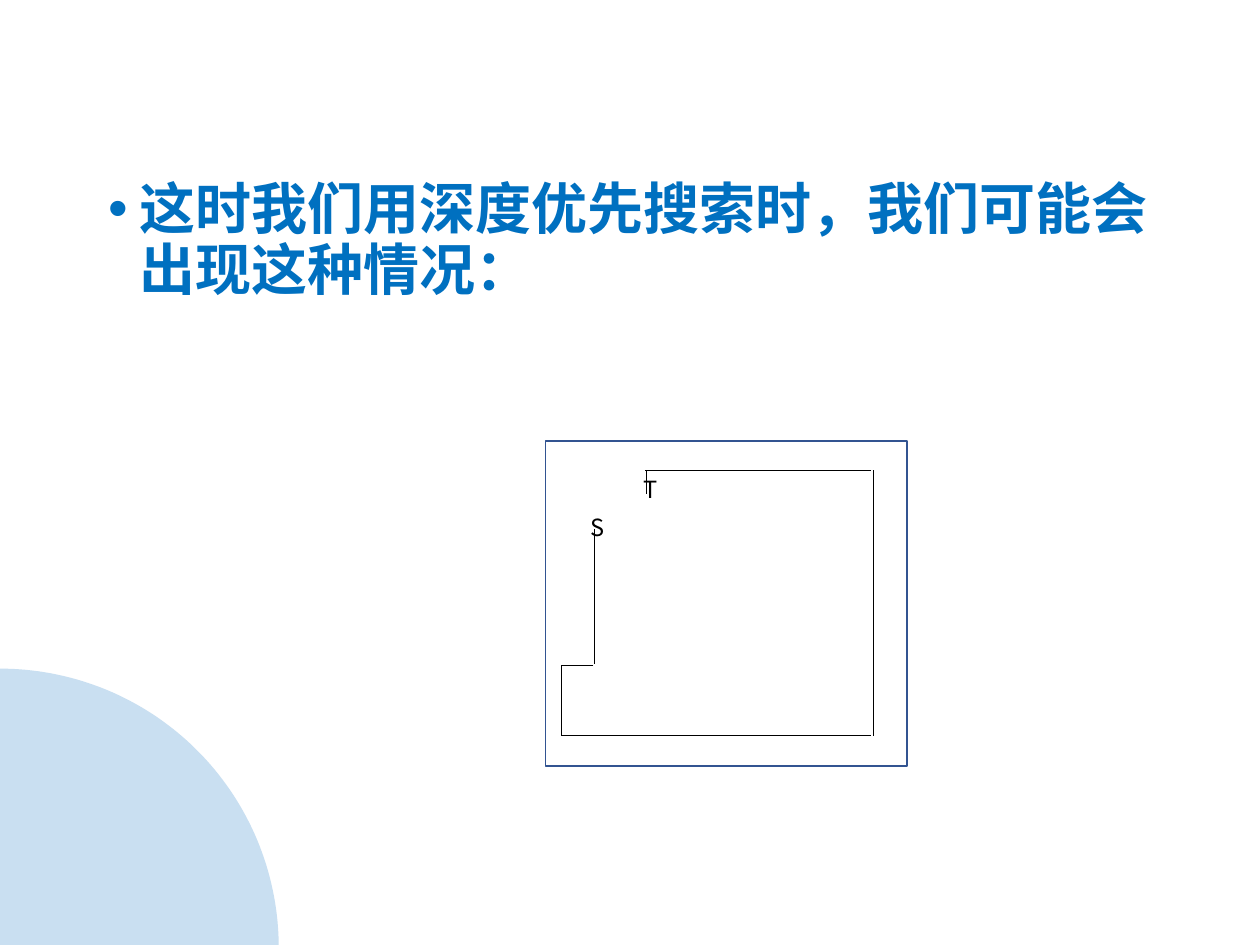
from math import cos, pi, sin

from lxml.etree import SubElement as Sub
from pptx import Presentation
from pptx.dml.color import RGBColor as Rgb
from pptx.enum.shapes import MSO_CONNECTOR as Conn, MSO_SHAPE as Kind
from pptx.enum.text import MSO_ANCHOR as Anchor, MSO_AUTO_SIZE as Auto
from pptx.oxml.ns import qn
from pptx.util import Pt

COLORS = {"text": "0070C0", "frame": "325491", "ink": "000000", "disc": "C9DFF1"}
FONT = "Noto Sans CJK SC"


def tint(name):
    return Rgb.from_string(COLORS[name])


def style(run, size, name, bold=False):
    font = run.font
    font.size = Pt(size)
    font.name = FONT
    font.bold = bold
    font.color.rgb = tint(name)
    Sub(font._element, qn("a:ea"), typeface=FONT)


deck = Presentation()
deck.slide_width, deck.slide_height = Pt(720), Pt(540)
slide = deck.slides.add_slide(deck.slide_layouts[6])
shapes = slide.shapes

body = shapes.add_textbox(Pt(54.7), Pt(100), Pt(612), Pt(45.4))
frame = body.text_frame
frame.word_wrap = True
para = frame.paragraphs[0]
para.text = "这时我们用深度优先搜索时，我们可能会出现这种情况："
para.line_spacing = 0.9
para.space_before = Pt(10)
style(para.runs[0], 32, "text", True)
props = para._p.get_or_add_pPr()
props.set("marL", str(Pt(18)))
props.set("indent", str(Pt(-18)))
Sub(props, qn("a:buFont"), typeface="Arial")
Sub(props, qn("a:buChar"), char="•")

box = shapes.add_shape(Kind.RECTANGLE, Pt(311.8), Pt(252), Pt(206.6), Pt(185.8))
box.shadow.inherit = False
box.fill.background()
box.line.color.rgb = tint("frame")
box.line.width = Pt(1)

for mark, left, top, width in [("S", 330.5, 290.2, 18), ("T", 360.7, 268.6, 16.6)]:
    label = shapes.add_textbox(Pt(left), Pt(top), Pt(width), Pt(21.6))
    frame = label.text_frame
    frame.word_wrap = False
    frame.auto_size = Auto.SHAPE_TO_FIT_TEXT
    frame.vertical_anchor = Anchor.MIDDLE
    frame.margin_left, frame.margin_right = Pt(7.2), Pt(2.5)
    frame.margin_top = frame.margin_bottom = Pt(1)
    frame.text = mark
    style(frame.paragraphs[0].runs[0], 13.5, "ink")

route = [
    (339.8, 302.4, 339.8, 379.4),
    (339.1, 380.2, 321.1, 380.2),
    (321.1, 380.2, 321.1, 420.5),
    (321.1, 420.5, 497.5, 420.5),
    (499, 420.5, 499, 268.6),
    (497.5, 268.6, 368.6, 268.6),
    (369.2, 282.2, 369.2, 268.6),
]
for ends in route:
    line = shapes.add_connector(Conn.STRAIGHT, *map(Pt, ends))
    line.line.color.rgb = tint("ink")
    line.line.width = Pt(0.5)
    Sub(line._element.spPr, qn("a:effectLst"))

base, radius, steps = 541.4, 159.3, 68
angles = [pi / 2 * (1 - n / steps) for n in range(steps + 1)]
arc = [(Pt(radius * cos(a)), Pt(base - radius * sin(a))) for a in angles]
pen = shapes.build_freeform(0, Pt(base))
pen.add_line_segments(arc, close=True)
disc = pen.convert_to_shape()
disc.shadow.inherit = False
disc.fill.solid()
disc.fill.fore_color.rgb = tint("disc")
disc.line.fill.background()

deck.save("out.pptx")
